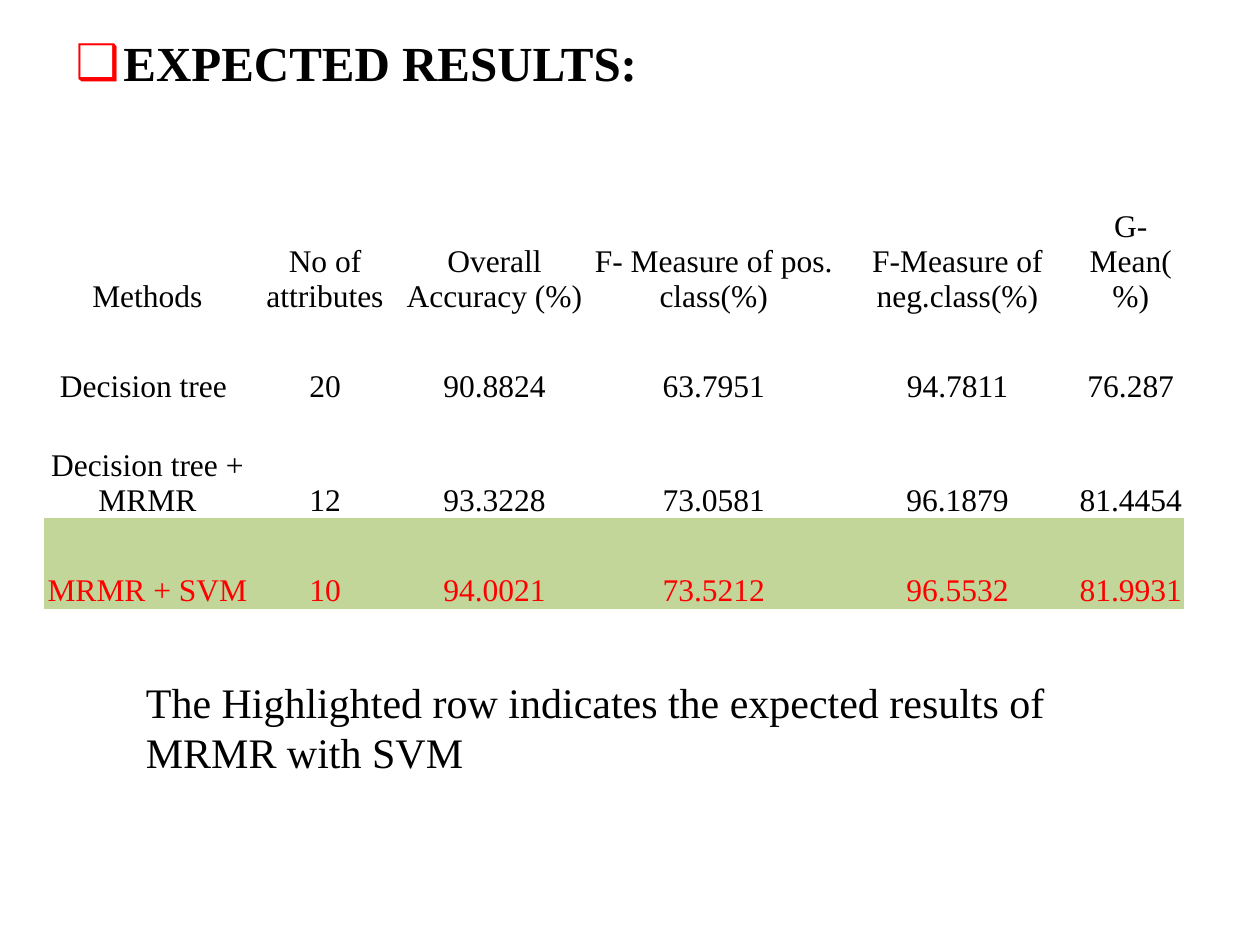
from lxml.etree import SubElement
from pptx import Presentation
from pptx.dml.color import RGBColor
from pptx.enum.text import MSO_ANCHOR, PP_ALIGN
from pptx.oxml.ns import qn
from pptx.util import Inches, Pt

TITLE = "EXPECTED RESULTS:"
HEAD = ["Methods", "No of attributes", "Overall Accuracy (%)",
        "F- Measure of pos. class(%)", "F-Measure of neg.class(%)", "G-Mean(%)"]
RESULTS = [
    ["Decision tree ", "20", "90.8824", "63.7951", "94.7811", "76.287"],
    ["Decision tree + MRMR", "12", "93.3228", "73.0581", "96.1879", "81.4454"],
    ["MRMR + SVM", "10", "94.0021", "73.5212", "96.5532", "81.9931"],
]
NOTE = "The Highlighted row indicates the expected results of MRMR with SVM"

COLS = [1.64, 1.18, 1.51, 1.97, 1.9, 0.85]
ROWS = [1.5, 0.72, 0.9, 0.72]
FONT = "Times New Roman"
BLACK = RGBColor(0, 0, 0)
RED = RGBColor(0xFF, 0, 0)
GREEN = RGBColor(0xC2, 0xD6, 0x9A)
NO_GRID = "{2D5ABB26-0587-4C30-8999-92F81FD0307C}"


def write(frame, text, size=18, color=BLACK, bold=False, align=None):
    para = frame.paragraphs[0]
    para.alignment = align
    run = para.add_run()
    run.text = text
    font = run.font
    font.name, font.size, font.bold = FONT, Pt(size), bold
    font.color.rgb = color
    return para


def add_bullet(para, char, color, indent):
    props = para._p.get_or_add_pPr()
    props.set("marL", str(indent))
    props.set("indent", str(-indent))
    tint = SubElement(props, qn("a:buClr"))
    SubElement(tint, qn("a:srgbClr"), val=str(color))
    SubElement(props, qn("a:buChar"), char=char)


def place(shape, *box):
    shape.left, shape.top, shape.width, shape.height = map(Inches, box)


def add_results(slide, left, top):
    data = [HEAD, *RESULTS]
    frame = slide.shapes.add_table(
        len(data), len(HEAD), Inches(left), Inches(top),
        Inches(sum(COLS)), Inches(sum(ROWS)))
    table = frame.table
    table.first_row = table.horz_banding = False
    table._tbl.tblPr.find(qn("a:tableStyleId")).text = NO_GRID
    for col, width in zip(table.columns, COLS):
        col.width = Inches(width)
    for row, height, texts in zip(table.rows, ROWS, data):
        row.height = Inches(height)
        best = texts is data[-1]
        for cell, text in zip(row.cells, texts):
            cell.margin_left = cell.margin_right = 0
            cell.margin_top = cell.margin_bottom = 0
            cell.vertical_anchor = MSO_ANCHOR.BOTTOM
            if best:
                cell.fill.solid()
                cell.fill.fore_color.rgb = GREEN
            else:
                cell.fill.background()
            write(cell.text_frame, text, color=RED if best else BLACK,
                  align=PP_ALIGN.CENTER)


def main():
    deck = Presentation()
    deck.slide_width, deck.slide_height = Inches(10), Inches(7.5)
    slide = deck.slides.add_slide(deck.slide_layouts[1])
    title = slide.shapes.title._element
    title.getparent().remove(title)

    body = slide.placeholders[1]
    place(body, 0.5, 0.21, 9, 6.49)
    para = write(body.text_frame, TITLE, size=28, bold=True)
    add_bullet(para, "❑", RED, Inches(0.38))

    add_results(slide, 0.35, 0.99)

    note = slide.shapes.add_textbox(0, 0, 0, 0)
    place(note, 1.06, 5.32, 7.64, 0.91)
    note.text_frame.word_wrap = True
    write(note.text_frame, NOTE, size=24)

    deck.save("out.pptx")


if __name__ == "__main__":
    main()
